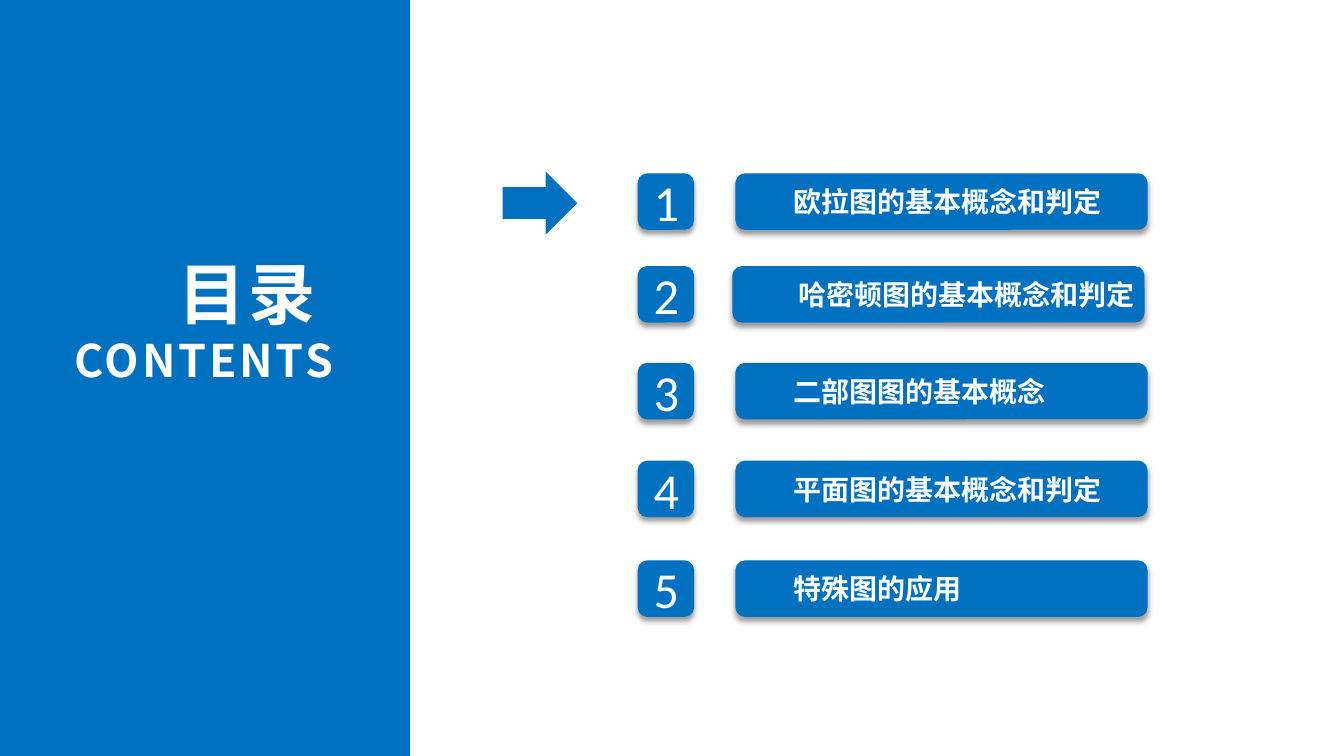
import pptx
import pptx.dml.color
import pptx.enum.shapes
import pptx.enum.text
import pptx.oxml
import pptx.oxml.ns
import pptx.util

Inches = pptx.util.Inches
SHAPES = pptx.enum.shapes.MSO_SHAPE
ALIGN = pptx.enum.text.PP_ALIGN
ANCHOR = pptx.enum.text.MSO_ANCHOR
WIDTH, HEIGHT = 13.34, 7.5
COLORS = {"blue": "0070C0", "white": "FFFFFF", "shadow": "000000"}
FONTS = {"number": "Calibri", "text": "Noto Sans CJK SC"}
INSETS = {"margin_left": 0.13, "margin_top": 0.07, "margin_right": 0.13, "margin_bottom": 0.07}
TOPICS = [
    {"text": "欧拉图的基本概念和判定", "top": 1.72},
    {"text": "哈密顿图的基本概念和判定", "top": 2.64, "shift": -0.03, "inset": 0.63},
    {"text": "二部图图的基本概念", "top": 3.6},
    {"text": "平面图的基本概念和判定", "top": 4.57},
    {"text": "特殊图的应用", "top": 5.56},
]


def rgb(name):
    """Return a palette colour."""
    return pptx.dml.color.RGBColor.from_string(COLORS[name])


def add_block(slide, kind, box, shadow=False):
    """Add a blue shape without an outline, optionally with a soft shadow."""
    shape = slide.shapes.add_shape(kind, *map(Inches, box))
    shape.shadow.inherit = False
    shape.fill.solid()
    shape.fill.fore_color.rgb = rgb("blue")
    shape.line.fill.background()
    if shadow:
        effects = shape._element.spPr.find(pptx.oxml.ns.qn("a:effectLst"))
        effects.append(pptx.oxml.parse_xml(
            f'<a:outerShdw {pptx.oxml.ns.nsdecls("a")} blurRad="50800" dist="38100" '
            f'dir="5400000" algn="t" rotWithShape="0"><a:srgbClr val="{COLORS["shadow"]}">'
            '<a:alpha val="40000"/></a:srgbClr></a:outerShdw>'))
    return shape


def write_text(shape, lines, font, bold, align, anchor, insets=INSETS, spacing=0):
    """Write one paragraph for each pair of text and size."""
    frame = shape.text_frame
    layout = {"word_wrap": True, "vertical_anchor": anchor,
              "auto_size": pptx.enum.text.MSO_AUTO_SIZE.NONE}
    layout.update({side: Inches(length) for side, length in insets.items()})
    for name, value in layout.items():
        setattr(frame, name, value)
    for index, (text, size) in enumerate(lines):
        para = frame.paragraphs[0] if index == 0 else frame.add_paragraph()
        para.alignment = align
        span = para.add_run()
        span.text = text
        span.font.color.rgb = rgb("white")
        style = {"name": FONTS[font], "size": pptx.util.Pt(size), "bold": bold}
        for name, value in style.items():
            setattr(span.font, name, value)
        properties = span.font._element
        if spacing:
            properties.set("spc", str(spacing * 100))
        properties.find(pptx.oxml.ns.qn("a:latin")).addnext(pptx.oxml.parse_xml(
            f'<a:ea {pptx.oxml.ns.nsdecls("a")} typeface="{FONTS[font]}"/>'))


def add_title_panel(slide, box):
    """Fill the side panel and place the slide title on it."""
    left, top, width, height = box
    panel = add_block(slide, SHAPES.RECTANGLE, box)
    title = slide.shapes.title
    title._element.addprevious(panel._element)
    place = {"left": left + 0.37, "top": top + 2.43, "width": width - 1, "height": 1.48}
    for name, value in place.items():
        setattr(title, name, Inches(value))
    write_text(title, [("目录 ", 48), ("CONTENTS", 32)], "text", True,
               ALIGN.RIGHT, ANCHOR.TOP, spacing=2)


def add_topic(slide, box, number, text, inset=0.55, shift=0):
    """Place a number tile and its topic bar in a row."""
    left, top, width, height = box
    tile = add_block(slide, SHAPES.ROUNDED_RECTANGLE, (left, top, height, height), True)
    write_text(tile, [(str(number), 36)], "number", False, ALIGN.CENTER, ANCHOR.MIDDLE)
    gap = 0.97
    bar = add_block(slide, SHAPES.ROUNDED_RECTANGLE,
                    (left + gap + shift, top, width - gap, height), True)
    write_text(bar, [(text, 20)], "text", True, ALIGN.LEFT, ANCHOR.MIDDLE,
               {**INSETS, "margin_left": inset, "margin_right": 0})


def add_topics(slide, box):
    """List the topics and point an arrow at the first."""
    left, top, width, height = box
    add_block(slide, SHAPES.RIGHT_ARROW, (left - 1.34, top - 0.02, 0.74, 0.63))
    for number, topic in enumerate(TOPICS, 1):
        details = {name: value for name, value in topic.items() if name != "top"}
        add_topic(slide, (left, topic["top"], width, 0.56), number, **details)


def main():
    """Build and save the contents slide."""
    deck = pptx.Presentation()
    deck.slide_width, deck.slide_height = Inches(WIDTH), Inches(HEIGHT)
    slide = deck.slides.add_slide(deck.slide_layouts.get_by_name("Title Only"))
    add_title_panel(slide, (0, 0, 4.07, HEIGHT))
    add_topics(slide, (6.33, TOPICS[0]["top"], 5.06, 4.4))
    deck.save("out.pptx")


if __name__ == "__main__":
    main()
